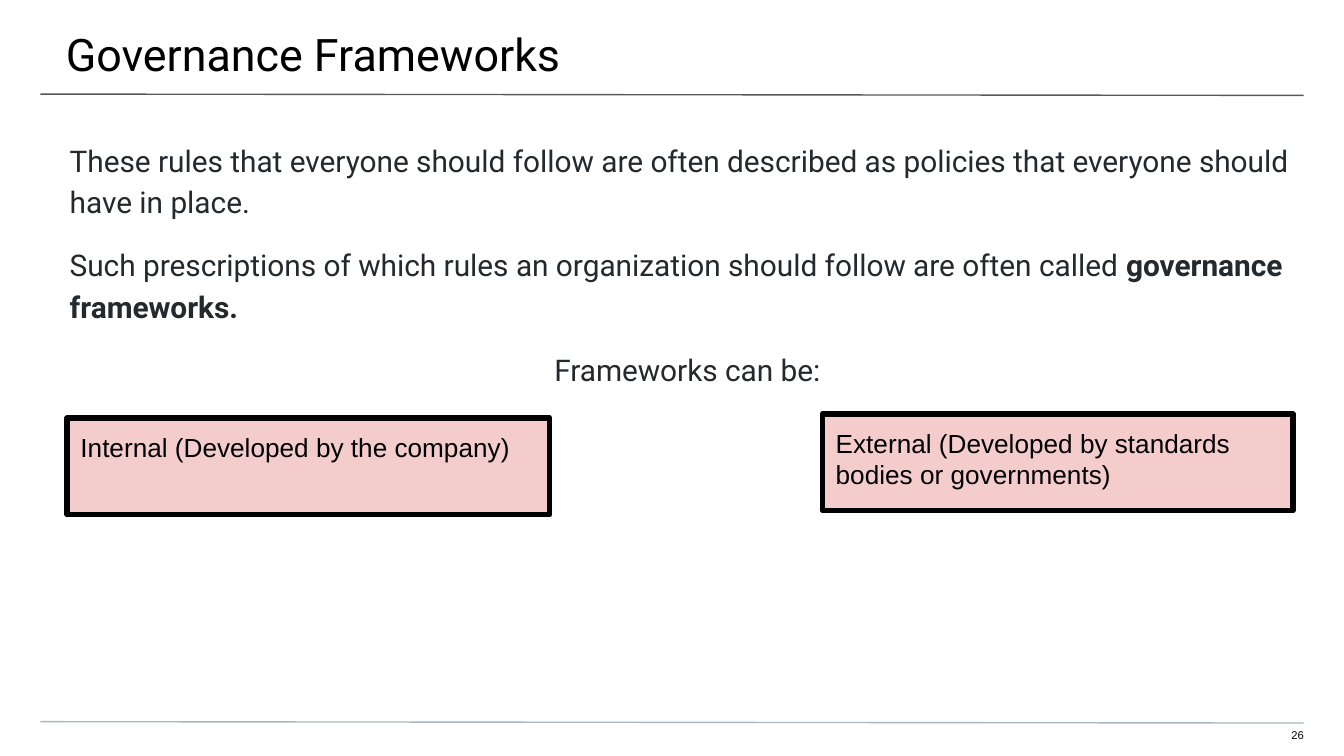
from dataclasses import dataclass

import pptx
import pptx.dml.color
import pptx.enum.shapes
import pptx.enum.text
import pptx.oxml
import pptx.oxml.ns
import pptx.util

Inches = pptx.util.Inches
Pt = pptx.util.Pt
ALIGN = pptx.enum.text.PP_ALIGN

COLORS = {
    "black": "000000",
    "body": "24292E",
    "title_rule": "595959",
    "footer_rule": "A9B7C0",
    "box": "F4CCCC",
}


@dataclass
class Style:
    font: str
    size: float
    color: str


@dataclass
class Para:
    runs: list[tuple[str, bool]]  # text, bold
    fmt: dict


@dataclass
class Block:
    at: tuple[float, float, float, float]
    insets: tuple[float, float, float, float]  # left, top, right, bottom
    style: Style
    paras: list[Para]


@dataclass
class Rule:
    y: float
    color: str


def rgb(name: str) -> pptx.dml.color.RGBColor:
    return pptx.dml.color.RGBColor.from_string(COLORS[name])


def fill_text(sp, block: Block) -> None:
    tf = sp.text_frame
    left, top, right, bottom = map(Inches, block.insets)
    frame = {
        "word_wrap": True,
        "vertical_anchor": pptx.enum.text.MSO_ANCHOR.TOP,
        "margin_left": left,
        "margin_top": top,
        "margin_right": right,
        "margin_bottom": bottom,
    }
    for name, value in frame.items():
        setattr(tf, name, value)
    for i, para in enumerate(block.paras):
        p = tf.add_paragraph() if i else tf.paragraphs[0]
        for name, value in para.fmt.items():
            setattr(p, name, value)
        for text, bold in para.runs:
            r = p.add_run()
            r.text = text
            font = {"name": block.style.font, "size": Pt(block.style.size), "bold": bold}
            for name, value in font.items():
                setattr(r.font, name, value)
            r.font.color.rgb = rgb(block.style.color)


def add_text(s, block: Block) -> None:
    fill_text(s.shapes.add_textbox(*map(Inches, block.at)), block)


def add_box(s, block: Block) -> None:
    sp = s.shapes.add_shape(
        pptx.enum.shapes.MSO_SHAPE.RECTANGLE, *map(Inches, block.at)
    )
    sp.shadow.inherit = False
    sp.fill.solid()
    sp.fill.fore_color.rgb = rgb("box")
    sp.line.color.rgb = rgb("black")
    sp.line.width = Pt(3)
    fill_text(sp, block)


def add_rule(s, rule: Rule) -> None:
    line = s.shapes.add_connector(
        pptx.enum.shapes.MSO_CONNECTOR.STRAIGHT,
        Inches(0.3), Inches(rule.y), Inches(9.7), Inches(rule.y + 0.01),
    )
    line.line.color.rgb = rgb(rule.color)
    line.line.width = Pt(0.75)
    line._element.spPr.append(
        pptx.oxml.parse_xml(f"<a:effectLst {pptx.oxml.ns.nsdecls('a')}/>")
    )


LEFT = {"alignment": ALIGN.LEFT}
EVEN = (0.1, 0.1, 0.1, 0.1)
BODY = {"alignment": ALIGN.LEFT, "line_spacing": 1.15}
NEXT = {**BODY, "space_before": Pt(12)}
BOX_STYLE = Style("Arial", 14, "black")

RULES = [Rule(0.7, "title_rule"), Rule(5.37, "footer_rule")]

TEXTS = [
    # Title
    Block((-0.01, 0, 10.03, 0.58), (0.5, 0.2, 0.3, 0.1), Style("Roboto", 24, "black"),
          [Para([("Governance Frameworks", False)], LEFT)]),
    # Slide number
    Block((9.41, 5.42, 0.29, 0.12), (0, 0, 0, 0.1), Style("Arial", 6, "black"),
          [Para([("26", False)], {"alignment": ALIGN.RIGHT})]),
    # Body
    Block((0.42, 0.92, 9.39, 0.85), EVEN, Style("Roboto", 16, "body"), [
        Para([("These rules that everyone should follow are often described as "
               "policies that everyone should have in place.", False)], BODY),
        Para([("Such prescriptions of which rules an organization should follow "
               "are often called ", False),
              ("governance frameworks.", True)], NEXT),
        Para([("Frameworks can be:", False)], {**NEXT, "alignment": ALIGN.CENTER}),
    ]),
]

# Kinds of framework
BOXES = [
    Block((0.5, 3.11, 3.59, 0.72), EVEN, BOX_STYLE,
          [Para([("Internal (Developed by the company)", False)], LEFT)]),
    Block((6.12, 3.08, 3.5, 0.72), EVEN, BOX_STYLE,
          [Para([("External (Developed by standards bodies or governments)", False)], LEFT)]),
]


def main() -> None:
    prs = pptx.Presentation()
    # Widescreen, 16:9
    prs.slide_width = Inches(10)
    prs.slide_height = Inches(10 * 9 / 16)
    s = prs.slides.add_slide(prs.slide_layouts[6])
    for rule in RULES:
        add_rule(s, rule)
    for block in TEXTS:
        add_text(s, block)
    for block in BOXES:
        add_box(s, block)
    prs.save("out.pptx")


if __name__ == "__main__":
    main()
